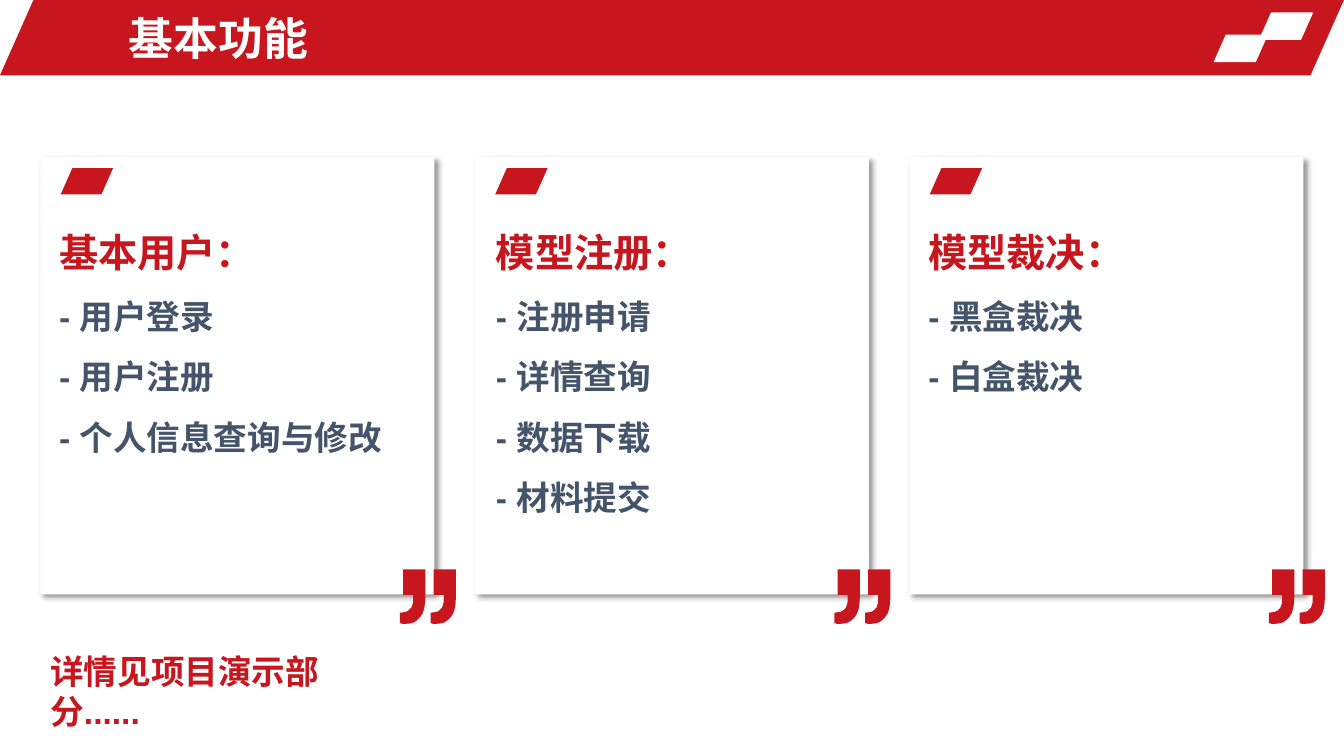
from dataclasses import dataclass

from lxml import etree
from pptx import Presentation
from pptx.dml.color import RGBColor
from pptx.enum.lang import MSO_LANGUAGE_ID
from pptx.enum.shapes import MSO_SHAPE
from pptx.enum.text import MSO_ANCHOR, MSO_AUTO_SIZE
from pptx.oxml import parse_xml
from pptx.oxml.ns import nsdecls, qn
from pptx.util import Cm, Pt

PARALLELOGRAM = MSO_SHAPE.PARALLELOGRAM
ROUND_RECT = MSO_SHAPE.ROUNDED_RECTANGLE
TOP, MIDDLE = MSO_ANCHOR.TOP, MSO_ANCHOR.MIDDLE
NO_FIT, FIT = MSO_AUTO_SIZE.NONE, MSO_AUTO_SIZE.SHAPE_TO_FIT_TEXT
CHINESE = MSO_LANGUAGE_ID.SIMPLIFIED_CHINESE


@dataclass(frozen=True)
class Theme:
    red: str = "C8161E"
    white: str = "FFFFFF"
    slate: str = "44546A"
    font: str = "Arial"
    title: int = 32
    heading: int = 28
    body: int = 24


THEME = Theme()
SLANT = 0.444
TAG_SIZE = (1.32, 0.66)
CARD_LEFT, CARD_TOP, CARD_PITCH = 1.02, 3.96, 10.95
CARD_SIZE = (9.93, 11.02)
CARDS = [
    (0.22, 6.43, "基本用户：", ["用户登录", "用户注册", "个人信息查询与修改"]),
    (0.28, 7.98, "模型注册：", ["注册申请", "详情查询", "数据下载", "材料提交"]),
    (0.23, 4.88, "模型裁决：", ["黑盒裁决", "白盒裁决"]),
]
QUOTE_GAP = 77


def add_block(s, kind, left, top, size, color, adj, outline=False):
    sp = s.shapes.add_shape(kind, Cm(left), Cm(top), *map(Cm, size))
    sp.adjustments[0] = adj
    sp.shadow.inherit = False
    sp.fill.solid()
    sp.fill.fore_color.rgb = RGBColor.from_string(color)
    if outline:
        sp.line.color.rgb = RGBColor.from_string(color)
        sp.line.width = Pt(1)
    else:
        sp.line.fill.background()
    return sp


def add_card_shadow(sp):
    effects = sp._element.spPr.find(qn("a:effectLst"))
    shadow = parse_xml(
        f'<a:outerShdw {nsdecls("a")} blurRad="{Pt(4)}" dist="{Pt(3)}" '
        'dir="2700000" algn="tl" rotWithShape="0"/>')
    color = etree.SubElement(shadow, qn("a:srgbClr"), val="000000")
    etree.SubElement(color, qn("a:alpha"), val="40000")
    effects.append(shadow)


def add_text(s, left, top, size, lines, anchor=TOP, fit=FIT):
    box = s.shapes.add_textbox(Cm(left), Cm(top), *map(Cm, size))
    tf = box.text_frame
    frame = {"word_wrap": True, "vertical_anchor": anchor, "auto_size": fit}
    for name, value in frame.items():
        setattr(tf, name, value)
    for i, (text, points, color, spacing) in enumerate(lines):
        p = tf.paragraphs[0] if i == 0 else tf.add_paragraph()
        p.line_spacing = spacing
        r = p.add_run()
        r.text = text
        fmt = {"name": THEME.font, "size": Pt(points), "bold": True,
               "language_id": CHINESE}
        for name, value in fmt.items():
            setattr(r.font, name, value)
        r.font.color.rgb = RGBColor.from_string(color)


def curve(a, b, c, d, steps=8):
    def point(t):
        u = 1 - t
        return tuple(u**3 * i + 3 * u * u * t * j + 3 * u * t * t * k + t**3 * m
                     for i, j, k, m in zip(a, b, c, d))
    return [point(n / steps) for n in range(1, steps + 1)]


def quote_mark(dx):
    points = [(64, 0), (64, 71)]
    points += curve((64, 71), (64, 114), (46, 137), (15, 137))
    points += curve((15, 137), (10, 137), (5, 137), (0, 135))
    points += [(0, 109)]
    points += curve((0, 109), (23, 109), (33, 97), (33, 76))
    points += [(33, 64), (8, 64), (8, 0)]
    return [(x + dx, y) for x, y in points]


def add_quote(s, left, top):
    first, second = quote_mark(0), quote_mark(QUOTE_GAP)
    fb = s.shapes.build_freeform(*first[0], scale=Cm(0.01))
    fb.add_line_segments(first[1:], close=True)
    fb.move_to(*second[0])
    fb.add_line_segments(second[1:], close=True)
    sp = fb.convert_to_shape(Cm(left), Cm(top))
    sp.shadow.inherit = False
    sp.fill.solid()
    sp.fill.fore_color.rgb = RGBColor.from_string(THEME.red)
    sp.line.fill.background()


def add_header(s, title):
    add_block(s, PARALLELOGRAM, 0, 0, (33.87, 1.9), THEME.red, SLANT)
    for left, top in [(31.75, 0.33), (30.61, 0.89)]:
        add_block(s, PARALLELOGRAM, left, top, TAG_SIZE, THEME.white, SLANT, True)
    add_text(s, 3, 0.13, (19.66, 1.65),
             [(title, THEME.title, THEME.white, 1.0)], MIDDLE, NO_FIT)


def add_card(s, left, indent, height, heading, items):
    card = add_block(s, ROUND_RECT, left, CARD_TOP, CARD_SIZE, THEME.white, 0)
    add_card_shadow(card)
    add_block(s, PARALLELOGRAM, left + 0.51, CARD_TOP + 0.28, TAG_SIZE,
              THEME.red, SLANT)
    lines = [(heading, THEME.heading, THEME.red, 1.3)]
    lines += [(f"- {item}", THEME.body, THEME.slate, 1.5) for item in items]
    add_text(s, left + indent, CARD_TOP + 1.32, (9.7, height), lines)
    add_quote(s, left + 9.06, CARD_TOP + 10.39)


def main():
    prs = Presentation()
    prs.slide_width, prs.slide_height = Cm(33.87), Cm(19.05)
    s = prs.slides.add_slide(prs.slide_layouts[6])
    add_header(s, "基本功能")
    for i, card in enumerate(CARDS):
        add_card(s, CARD_LEFT + i * CARD_PITCH, *card)
    add_text(s, CARD_LEFT, 16.28, (9.53, 1.27),
             [("详情见项目演示部分......", THEME.body, THEME.red, 1.0)])
    prs.save("out.pptx")


if __name__ == "__main__":
    main()
